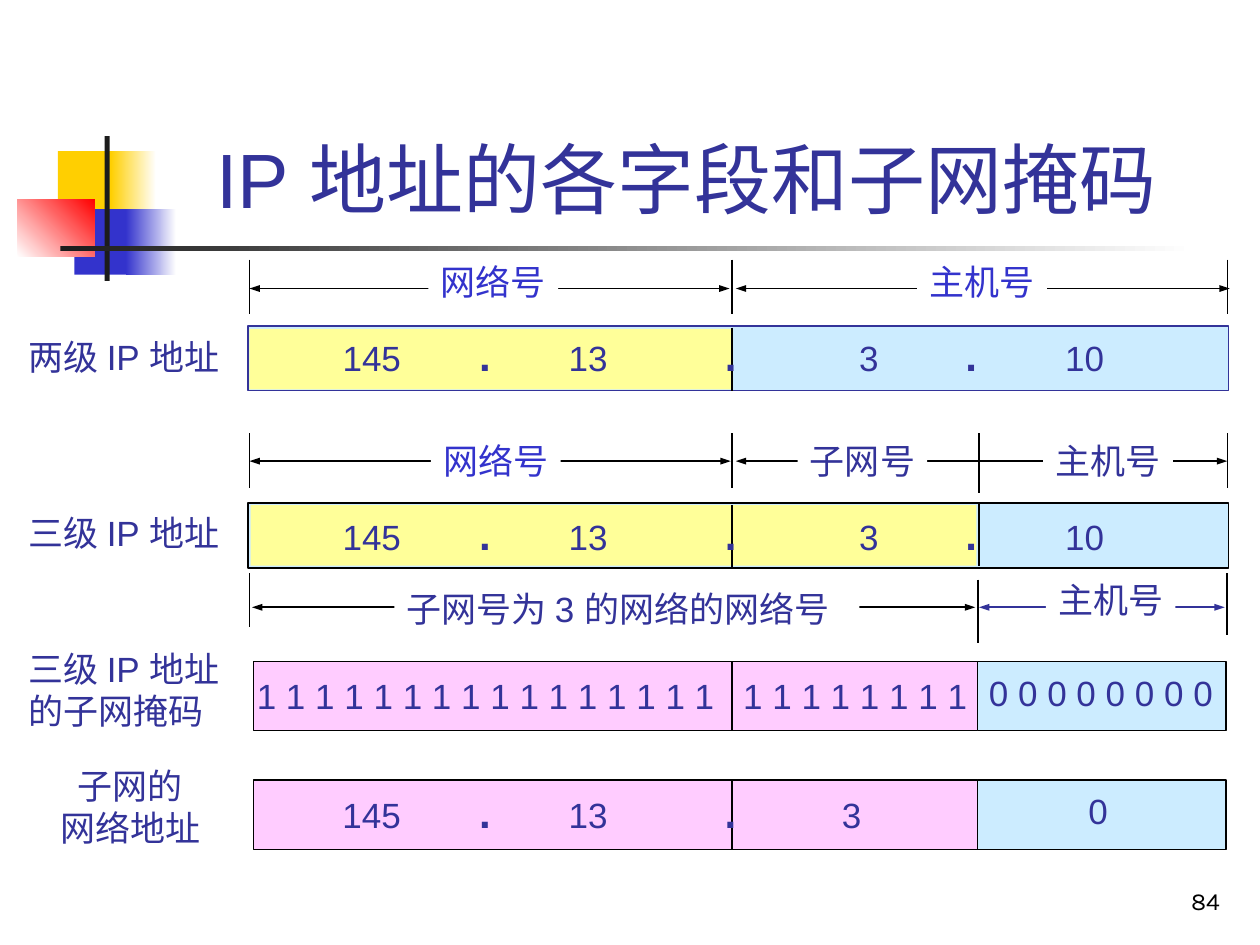
from itertools import groupby

from lxml import etree
from pptx import Presentation
from pptx.dml.color import RGBColor
from pptx.enum import shapes, text
from pptx.oxml.ns import qn
from pptx.util import Inches, Pt

NAVY = RGBColor(0x33, 0x33, 0x99)
BLUE = RGBColor(0x33, 0x33, 0xCC)
BLACK = RGBColor(0, 0, 0)
WHITE = RGBColor(0xFF, 0xFF, 0xFF)
DARK = RGBColor(0x1C, 0x1C, 0x1C)
GOLD = RGBColor(0xFF, 0xCF, 0x01)
RED = RGBColor(0xFF, 0, 0)
YELLOW = RGBColor(0xFF, 0xFF, 0x99)
SKY = RGBColor(0xCC, 0xEC, 0xFF)
PINK = RGBColor(0xFF, 0xCC, 0xFF)

# Field boundaries shared by all four address rows
LEFT, NET_END, SUBNET_END, RIGHT = 1.98, 5.81, 7.77, 9.74

prs = Presentation()
prs.slide_width, prs.slide_height = Inches(10), Inches(7.5)
s = prs.slides.add_slide(prs.slide_layouts[5])


def add_text(content, x, y, w, h, size=20, color=NAVY, font="Arial",
             align=text.PP_ALIGN.LEFT, fill=None, tabs=()):
    """Text box; tabs are (position, alignment) stops, dots and tabs are 24 pt bold."""
    sp = s.shapes.add_textbox(Inches(x), Inches(y), Inches(w), Inches(h))
    tf = sp.text_frame
    tf.word_wrap = bool(tabs)
    if fill is not None:
        sp.fill.solid()
        sp.fill.fore_color.rgb = fill
    if tabs or fill is not None:
        tf.margin_right = 0
    for i, line in enumerate(content.split("\n")):
        p = tf.add_paragraph() if i else tf.paragraphs[0]
        p.alignment = align
        if tabs:
            tab_list = etree.SubElement(p._p.get_or_add_pPr(), qn("a:tabLst"))
            for pos, kind in tabs:
                etree.SubElement(tab_list, qn("a:tab"), pos=str(Inches(pos)), algn=kind)
        for is_separator, chars in groupby(line, key=lambda c: c in ".\t"):
            r = p.add_run()
            r.text = "".join(chars)
            r.font.name = font
            r.font.size = Pt(24 if is_separator else size)
            r.font.bold = is_separator
            r.font.color.rgb = color


def add_line(x1, y1, x2, y2, color=BLACK, width=1, arrows=False):
    c = s.shapes.add_connector(shapes.MSO_CONNECTOR.STRAIGHT,
                               Inches(x1), Inches(y1), Inches(x2), Inches(y2))
    c.line.color.rgb = color
    c.line.width = Pt(width)
    if arrows:
        for end in ("a:headEnd", "a:tailEnd"):
            etree.SubElement(c.line._get_or_add_ln(), qn(end), type="triangle", w="sm", len="med")
    etree.SubElement(c._element.spPr, qn("a:effectLst"))


# Rectangles: x, y, w, h, fill (or gradient start, end, angle), line colour, line width
rects = [
    # corner ornament and title rule
    (0.46, 1.2, 0.48, 0.52, GOLD, None, 0),
    (0.88, 1.2, 0.36, 0.52, (GOLD, WHITE, 0), None, 0),
    (0.59, 1.66, 0.46, 0.52, BLUE, None, 0),
    (1, 1.66, 0.4, 0.52, (BLUE, WHITE, 0), None, 0),
    (0.14, 1.58, 0.61, 0.46, (WHITE, RED, 45), None, 0),
    (0.83, 1.08, 0.04, 1.15, DARK, None, 0),
    (0.48, 1.95, 9, 0.04, (DARK, WHITE, 0), None, 0),
    # two-level and three-level addresses
    (1.97, 3.99, 7.78, 0.52, SKY, BLACK, 1),
    (1.97, 2.59, 7.78, 0.51, SKY, NAVY, 1),
    (1.98, 2.61, 3.82, 0.48, YELLOW, None, 0),
    (1.99, 4.01, 5.76, 0.48, YELLOW, None, 0),
]
# subnet mask and subnet address
for y in (5.25, 6.19):
    rects += [(7.76, y, 1.97, 0.55, SKY, BLACK, 0.75),
              (2.01, y, 5.75, 0.55, PINK, BLACK, 0.75)]

for x, y, w, h, fill, line, width in rects:
    sp = s.shapes.add_shape(shapes.MSO_SHAPE.RECTANGLE,
                            Inches(x), Inches(y), Inches(w), Inches(h))
    sp.shadow.inherit = False
    if isinstance(fill, RGBColor):
        sp.fill.solid()
        sp.fill.fore_color.rgb = fill
    else:
        start, end, angle = fill
        sp.fill.gradient()
        sp.fill.gradient_angle = angle
        for stop, color in zip(sp.fill.gradient_stops, (start, end)):
            stop.color.rgb = color
    if line is None:
        sp.line.fill.background()
    else:
        sp.line.color.rgb = line
        sp.line.width = Pt(width)

title = s.shapes.title
title.left, title.top = Inches(1.26), Inches(0.23)
title.width, title.height = Inches(8.52), Inches(1.6)
tf = title.text_frame
tf.auto_size = text.MSO_AUTO_SIZE.NONE
tf.vertical_anchor = text.MSO_ANCHOR.BOTTOM
tf.margin_right = Inches(0.24)
p = tf.paragraphs[0]
p.alignment = text.PP_ALIGN.CENTER
r = p.add_run()
r.text = "IP 地址的各字段和子网掩码"
r.font.name, r.font.size = "Arial", Pt(44)
r.font.color.rgb = NAVY

# Dimension arrows, extension lines and field dividers
for x1, x2, y, color in [(LEFT, 5.79, 2.29, BLACK), (5.84, 9.76, 2.29, BLACK),
                         (LEFT, 5.8, 3.66, BLACK), (5.84, RIGHT, 3.66, BLACK),
                         (2, 7.74, 4.82, BLACK), (SUBNET_END, 9.72, 4.82, NAVY)]:
    add_line(x1, y, x2, y, color, arrows=True)
for y in (2.06, 3.44):
    for x in (LEFT, NET_END, RIGHT):
        add_line(x, y, x, y + 0.43, width=0.75)
add_line(SUBNET_END, 3.44, SUBNET_END, 3.91, width=0.75)
add_line(LEFT, 4.55, LEFT, 4.98, width=0.75)
for x, y1, y2 in [(NET_END, 2.6, 3.1), (NET_END, 4.01, 4.5), (SUBNET_END, 3.99, 4.49),
                  (7.76, 4.6, 5.1), (RIGHT, 4.55, 5.04),
                  (NET_END, 5.25, 5.8), (NET_END, 6.19, 6.74)]:
    add_line(x, y1, x, y2)

# Labels that interrupt the arrows
for label, x, y, w, color in [("网络号", 3.4, 2.02, 1.03, BLUE), ("主机号", 7.28, 2.02, 1.03, BLUE),
                              ("网络号", 3.42, 3.44, 1.03, BLUE), ("子网号", 6.33, 3.44, 1.03, NAVY),
                              ("主机号", 8.28, 3.44, 1.03, NAVY), ("主机号", 8.3, 4.54, 1.03, NAVY),
                              ("子网号为 3 的网络的网络号", 3.13, 4.61, 3.69, NAVY)]:
    add_text(label, x, y, w, 0.43, color=color, fill=WHITE)

# Row names
add_text("两级 IP 地址", 0.13, 2.61, 1.85, 0.43)
add_text("三级 IP 地址", 0.13, 4.01, 1.85, 0.43)
add_text("三级 IP 地址\n的子网掩码", 0.13, 5.09, 1.85, 0.76)
add_text("子网的\n网络地址", 0.38, 6.02, 1.31, 0.76, align=text.PP_ALIGN.CENTER)

# Field values
net_tabs = [(1.13, "ctr"), (1.95, "ctr"), (3.08, "ctr"), (4.04, "ctr")]
host_tabs = [(0.89, "ctr"), (1.79, "ctr")]
for y in (2.57, 3.99):
    add_text("145\t.\t13\t.", 2.62, y, 3.32, 0.5, tabs=net_tabs[:3])
    add_text("3\t.\t10", 6.72, y, 2.15, 0.5, tabs=host_tabs)
add_text("145\t.\t13\t.\t3", 2.62, 6.19, 4.33, 0.5, tabs=net_tabs)
add_text("0", 8.54, 6.22, 0.35, 0.43)
add_text(" ".join("1" * 16) + "\t" + " ".join("1" * 8), 1.94, 5.25, 5.84, 0.5,
         tabs=[(3.86, "l")])
add_text(" ".join("0" * 8), 7.75, 5.28, 1.98, 0.43)

add_text("84", 7.7, 6.98, 2.08, 0.35, size=14, color=BLACK, font="Karla",
         align=text.PP_ALIGN.RIGHT)

prs.save("out.pptx")
